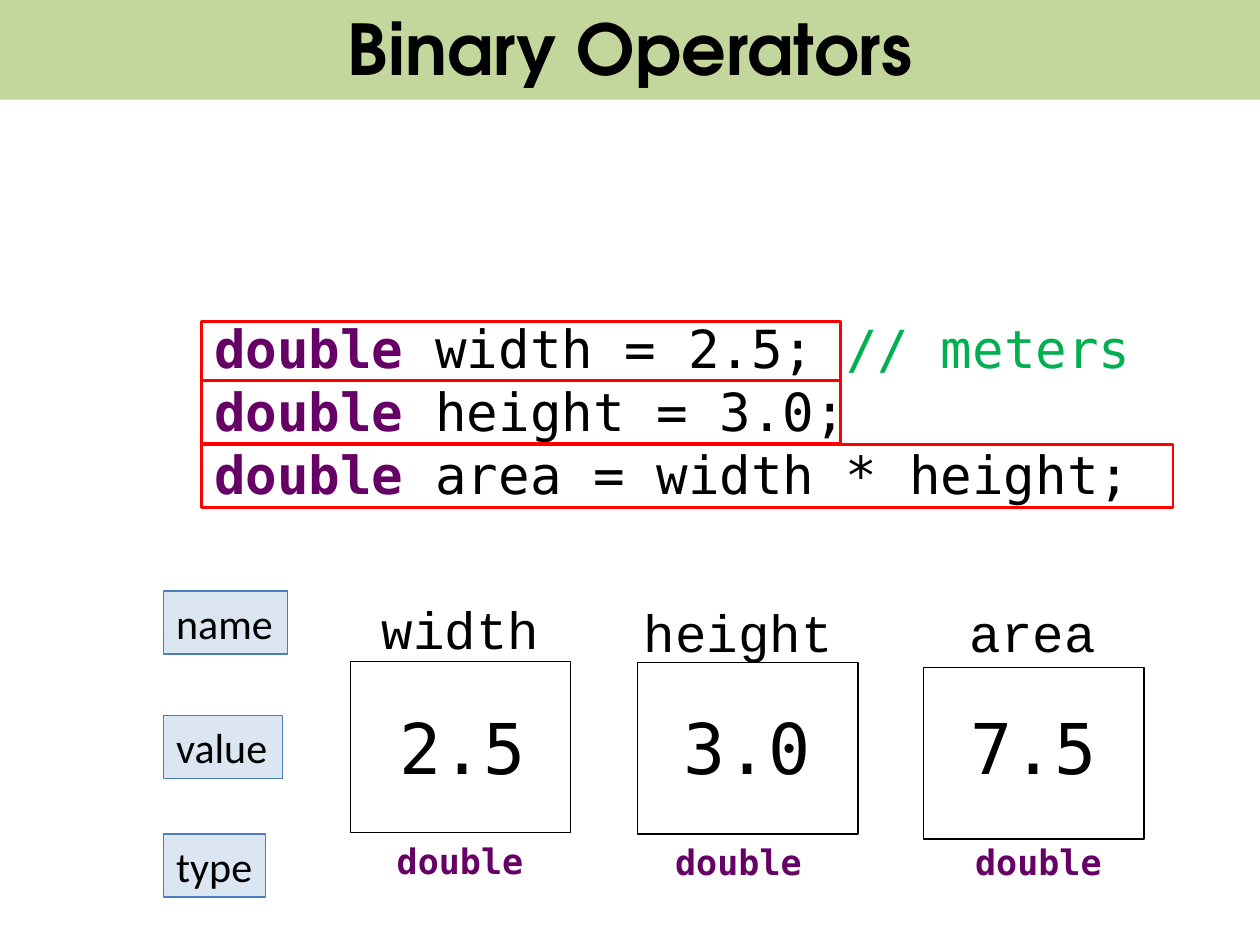
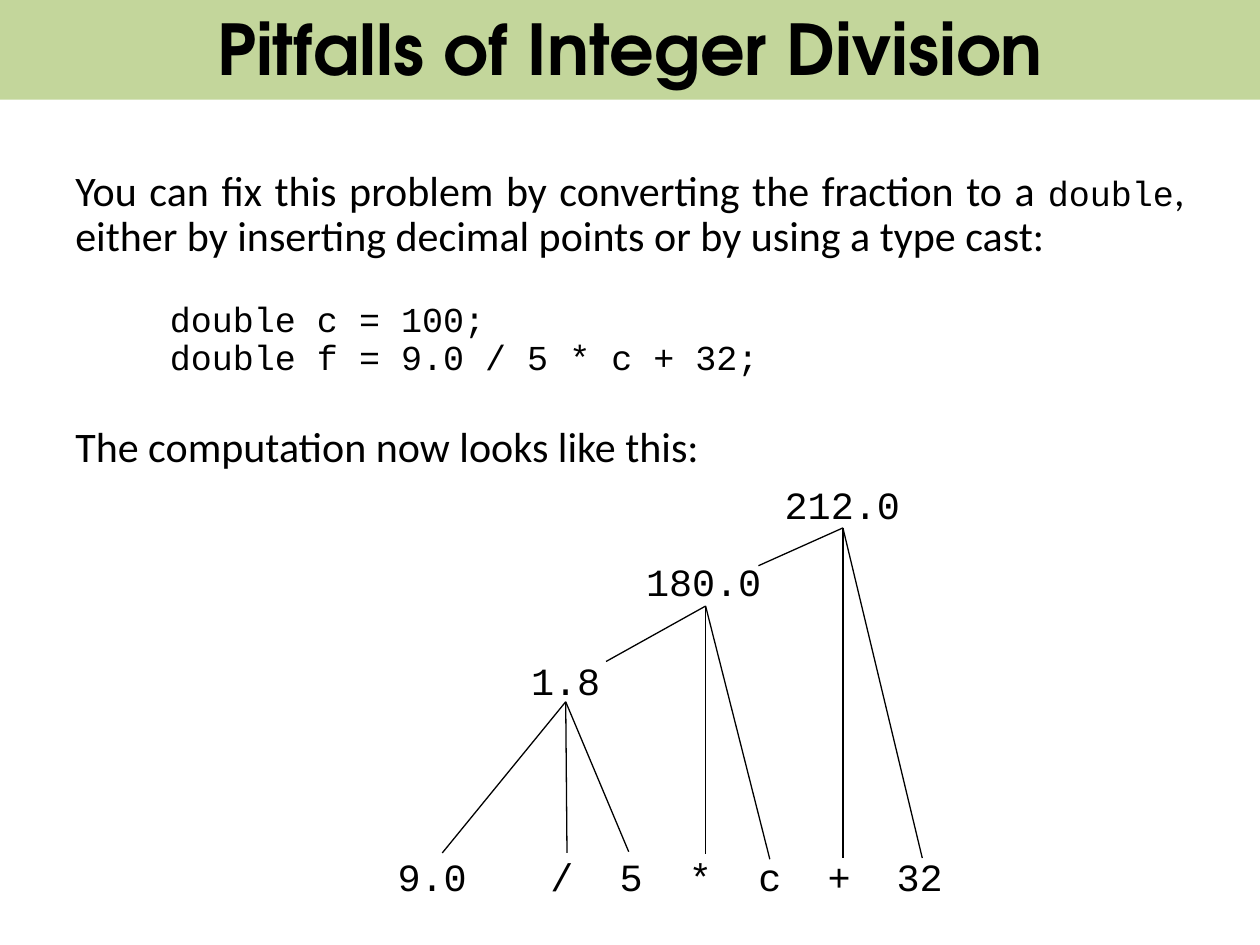
from lxml import etree
from pptx import Presentation
from pptx import util as u
from pptx.dml.color import RGBColor
from pptx.enum import shapes, text
from pptx.oxml import ns

BLACK = RGBColor(0x00, 0x00, 0x00)
WHITE = RGBColor(0xFF, 0xFF, 0xFF)
BAND = RGBColor(0xC3, 0xD6, 0x9B)
KEYWORD = RGBColor(0x66, 0x00, 0x66)
COMMENT = RGBColor(0x00, 0xB0, 0x50)
FRAME = RGBColor(0xFF, 0x00, 0x00)
TAG_FILL = RGBColor(0xDC, 0xE6, 0xF2)
TAG_LINE = RGBColor(0x4B, 0x7E, 0xBC)

BODY = "Calibri"
TYPEWRITER = "Courier New"
MONO = "DejaVu Sans Mono"
HEADING = "TeX Gyre Adventor"

LEFT = text.PP_ALIGN.LEFT
CENTER = text.PP_ALIGN.CENTER
JUSTIFY = text.PP_ALIGN.JUSTIFY
KEYWORD_STYLE = {"color": KEYWORD, "bold": True}


def place(left, top, width, height):
    return [u.Inches(length) for length in (left, top, width, height)]


def write(frame, paragraphs, size=24, font=BODY, color=BLACK, bold=False,
          align=LEFT, spacing=None, wrap=False, anchor=text.MSO_ANCHOR.TOP):
    frame.word_wrap = wrap
    frame.vertical_anchor = anchor
    if isinstance(paragraphs, str):
        paragraphs = [[(paragraphs, {})]]
    for index, pieces in enumerate(paragraphs):
        paragraph = frame.add_paragraph() if index else frame.paragraphs[0]
        paragraph.alignment = align
        if spacing:
            paragraph.line_spacing = spacing
        for words, changes in pieces:
            run = paragraph.add_run()
            run.text = words
            run.font.size = u.Pt(changes.get("size", size))
            run.font.name = changes.get("font", font)
            run.font.bold = changes.get("bold", bold)
            run.font.color.rgb = changes.get("color", color)


def add_box(slide, area, fill=None, line=None, weight=0.75):
    box = slide.shapes.add_shape(shapes.MSO_SHAPE.RECTANGLE, *place(*area))
    box.shadow.inherit = False
    if fill is None:
        box.fill.background()
    else:
        box.fill.solid()
        box.fill.fore_color.rgb = fill
    if line is None:
        box.line.fill.background()
    else:
        box.line.color.rgb = line
        box.line.width = u.Pt(weight)
    return box


def add_label(slide, area, words, **style):
    label = slide.shapes.add_textbox(*place(*area))
    write(label.text_frame, words, **style)


def add_branch(slide, start, end):
    points = [u.Inches(length) for length in (*start, *end)]
    branch = slide.shapes.add_connector(shapes.MSO_CONNECTOR.STRAIGHT, *points)
    branch.line.color.rgb = BLACK
    branch.line.width = u.Pt(0.75)
    etree.SubElement(branch._element.spPr, ns.qn("a:effectLst"))


def add_slide(deck, title):
    slide = deck.slides.add_slide(deck.slide_layouts[6])
    band = add_box(slide, (0, -0.03, 10, 0.82), fill=BAND)
    write(band.text_frame, title, size=40, font=HEADING, bold=True,
          align=CENTER, wrap=True, anchor=text.MSO_ANCHOR.MIDDLE)
    return slide


def add_variable(slide, name, value, cell, name_at, value_left, type_at):
    add_box(slide, (*cell, 1.75, 1.36), fill=WHITE, line=BLACK)
    name_width = 0.2 + 0.25 * len(name)
    add_label(slide, (*name_at, name_width, 0.61), name, size=30, font=TYPEWRITER)
    add_label(slide, (value_left, 5.54, 1.21, 0.77), value, size=40, font=MONO)
    add_label(slide, (*type_at, 1.21, 0.44), "double", size=20, font=MONO,
              **KEYWORD_STYLE)


def build_operators(deck):
    slide = add_slide(deck, "Binary Operators")
    keyword = ("double ", KEYWORD_STYLE)
    code = [
        [keyword, ("width = 2.5; ", {}), ("// meters", {"color": COMMENT})],
        [keyword, ("height = 3.0;", {})],
        [keyword, ("area = width * height;", {})],
    ]
    add_label(slide, (1.6, 2.46, 7.52, 1.62), code, size=30, font=MONO)

    add_variable(slide, "width", "2.5", (2.78, 5.25), (2.93, 4.69), 3.07, (3.05, 6.61))
    add_variable(slide, "height", "3.0", (5.06, 5.26), (5.01, 4.71), 5.33, (5.26, 6.62))
    add_variable(slide, "area", "7.5", (7.33, 5.3), (7.6, 4.71), 7.6, (7.64, 6.62))

    for tag, top, width in (("name", 4.69, 0.98), ("value", 5.68, 0.94),
                            ("type", 6.62, 0.81)):
        box = add_box(slide, (1.3, top, width, 0.5), fill=TAG_FILL, line=TAG_LINE)
        write(box.text_frame, tag)

    for top, width, height in ((2.55, 5.07, 0.47), (3.02, 5.07, 0.5),
                               (3.53, 7.71, 0.5)):
        add_box(slide, (1.6, top, width, height), line=FRAME, weight=1.5)


def add_expression_tree(slide):
    node_style = {"size": 22, "font": TYPEWRITER, "align": CENTER,
                  "spacing": 0.9, "wrap": True}
    nodes = (
        ("1.8", (3.99, 5.21, 1, 0.43), (4.49, 5.57),
         ((3.51, 6.77), (4.5, 6.77), (4.99, 6.76))),
        ("180.0", (5, 4.42, 1.17, 0.43), (5.6, 4.81),
         ((4.81, 5.25), (5.6, 6.78), (6.11, 6.82))),
        ("212.0", (6.06, 3.81, 1.25, 0.43), (6.69, 4.19),
         ((6.02, 4.49), (6.69, 6.81), (7.32, 6.81))),
    )
    for result, area, apex, operands in nodes:
        for operand in operands:
            add_branch(slide, apex, operand)
        add_label(slide, area, result, **node_style)

    add_label(slide, (2.93, 6.76, 1, 0.43), "9.0", **node_style)
    for step, token in enumerate(("/", "5", "*", "c", "+", "32")):
        middle = 4.46 + 0.55 * step + 0.09 * (len(token) - 1)
        add_label(slide, (middle - 0.4, 6.76, 0.8, 0.44), token, **node_style)


def build_division(deck):
    slide = add_slide(deck, "Pitfalls of Integer Division")
    prose = {"align": JUSTIFY, "spacing": 0.9, "wrap": True}
    advice = [[
        ("You can fix this problem by converting the fraction to a ", {}),
        ("double", {"size": 20, "font": TYPEWRITER}),
        (", either by inserting decimal points or by using a type cast:", {}),
    ]]
    code = [[("double c = 100;", {})], [("double f = 9.0 / 5 * c + 32;", {})]]
    add_label(slide, (0.5, 1.3, 9, 0.82), advice, **prose)
    add_label(slide, (1.25, 2.35, 8, 0.71), code, size=20, font=TYPEWRITER, **prose)
    add_label(slide, (0.5, 3.33, 9, 0.46), "The computation now looks like this:",
              **prose)
    add_expression_tree(slide)


def main():
    deck = Presentation()
    deck.slide_width = u.Inches(10)
    deck.slide_height = u.Inches(7.5)
    build_operators(deck)
    build_division(deck)
    deck.save("out.pptx")


if __name__ == "__main__":
    main()
